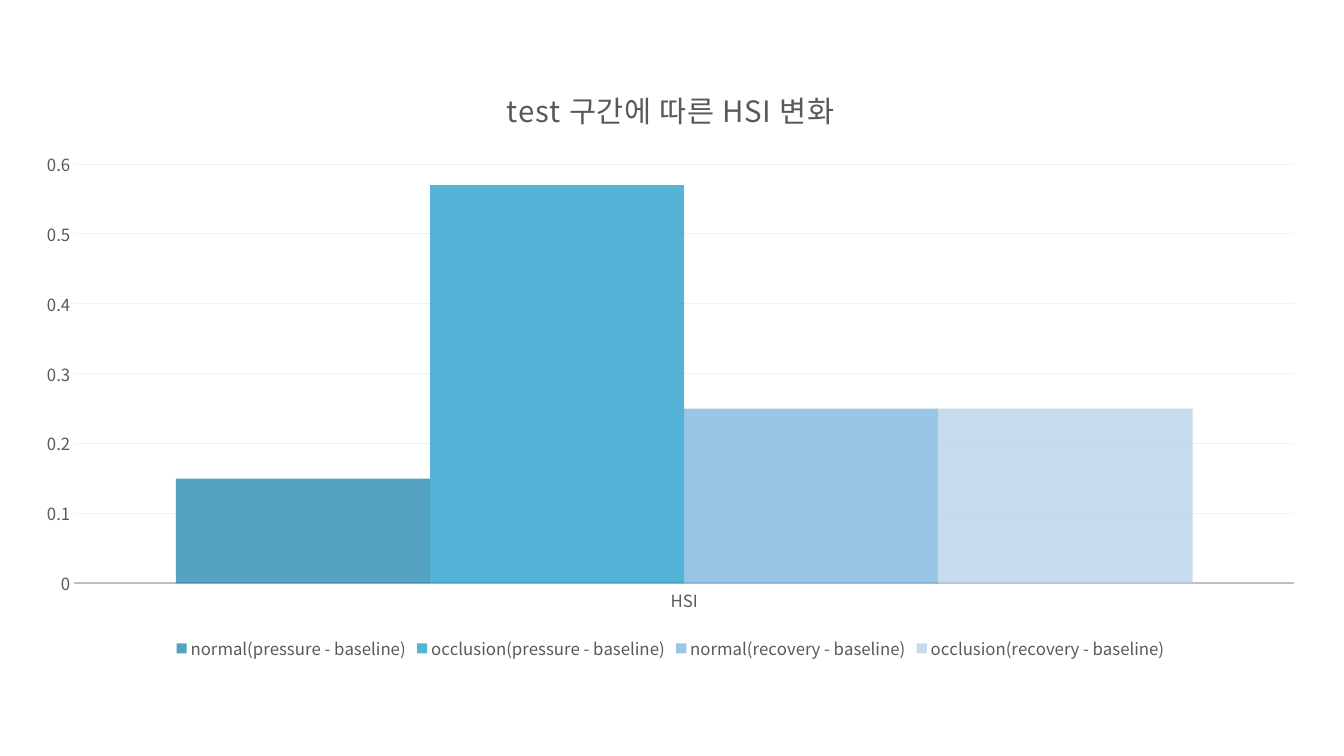
from pptx import Presentation
from pptx.chart.data import CategoryChartData
from pptx.dml.color import RGBColor
from pptx.enum.chart import XL_CHART_TYPE, XL_LEGEND_POSITION, XL_TICK_MARK
from pptx.oxml.ns import qn
from pptx.util import Pt
from lxml import etree

CLUSTERED = XL_CHART_TYPE.COLUMN_CLUSTERED
BOTTOM = XL_LEGEND_POSITION.BOTTOM
NO_TICK = XL_TICK_MARK.NONE
TEXT_GRAY = RGBColor(0x59, 0x59, 0x59)
AXIS_GRAY = RGBColor(0xBF, 0xBF, 0xBF)
GRID_GRAY = RGBColor(0xF2, 0xF2, 0xF2)
DEEP_BLUE = RGBColor(0x0C, 0x7D, 0xA8)
BRIGHT_BLUE = RGBColor(0x0E, 0x94, 0xC7)
SOFT_BLUE = RGBColor(0x6D, 0xB0, 0xDC)
PALE_BLUE = RGBColor(0xAF, 0xCE, 0xE8)
FONT_NAME = "Noto Sans CJK KR"
LABEL_SIZE = Pt(12)
TITLE_SIZE = Pt(21)

SERIES = [
    ("normal(pressure - baseline)", 0.15, DEEP_BLUE),
    ("occlusion(pressure - baseline)", 0.57, BRIGHT_BLUE),
    ("normal(recovery - baseline)", 0.25, SOFT_BLUE),
    ("occlusion(recovery - baseline)", 0.25, PALE_BLUE),
]


def format_font(font, size):
    for name, value in {"name": FONT_NAME, "size": size, "bold": False}.items():
        setattr(font, name, value)
    font.color.rgb = TEXT_GRAY


presentation = Presentation()
presentation.slide_width = Pt(960)
presentation.slide_height = Pt(540)
slide = presentation.slides.add_slide(presentation.slide_layouts[6])

chart_data = CategoryChartData(number_format="General")
chart_data.categories = ["HSI"]
for name, value, color in SERIES:
    chart_data.add_series(name, [value])

chart = slide.shapes.add_chart(
    CLUSTERED, Pt(15), Pt(44.6), Pt(928), Pt(430.5), chart_data
).chart
format_font(chart.font, LABEL_SIZE)

chart.has_title = True
chart.chart_title.include_in_layout = False
title_paragraph = chart.chart_title.text_frame.paragraphs[0]
title_run = title_paragraph.add_run()
title_run.text = "test 구간에 따른 HSI 변화"
format_font(title_run.font, TITLE_SIZE)
title_properties = title_run.font._element
title_properties.set("spc", "50")
east_asian = etree.Element(qn("a:ea"), typeface=FONT_NAME)
title_properties.find(qn("a:latin")).addnext(east_asian)

chart.has_legend = True
chart.legend.position = BOTTOM
chart.legend.include_in_layout = False
format_font(chart.legend.font, LABEL_SIZE)

for axis in (chart.category_axis, chart.value_axis):
    axis.major_tick_mark = NO_TICK
    axis.minor_tick_mark = NO_TICK
    format_font(axis.tick_labels.font, LABEL_SIZE)

category_line = chart.category_axis.format.line
category_line.color.rgb = AXIS_GRAY
category_line.width = Pt(1.25)

value_axis = chart.value_axis
for name, value in {"minimum_scale": 0, "maximum_scale": 0.6, "major_unit": 0.1}.items():
    setattr(value_axis, name, value)
value_axis.format.line.fill.background()
value_axis.has_major_gridlines = True
grid_line = value_axis.major_gridlines.format.line
grid_line.color.rgb = GRID_GRAY
grid_line.width = Pt(0.75)

plot = chart.plots[0]
plot.gap_width = 80
plot.overlap = 0
plot.vary_by_categories = False
for series, (name, value, color) in zip(plot.series, SERIES):
    series.invert_if_negative = False
    series.format.fill.solid()
    series.format.fill.fore_color.rgb = color
    color_element = series.format._element.find(".//" + qn("a:srgbClr"))
    etree.SubElement(color_element, qn("a:alpha"), val="70000")
    series.format.line.fill.background()

presentation.save("out.pptx")
